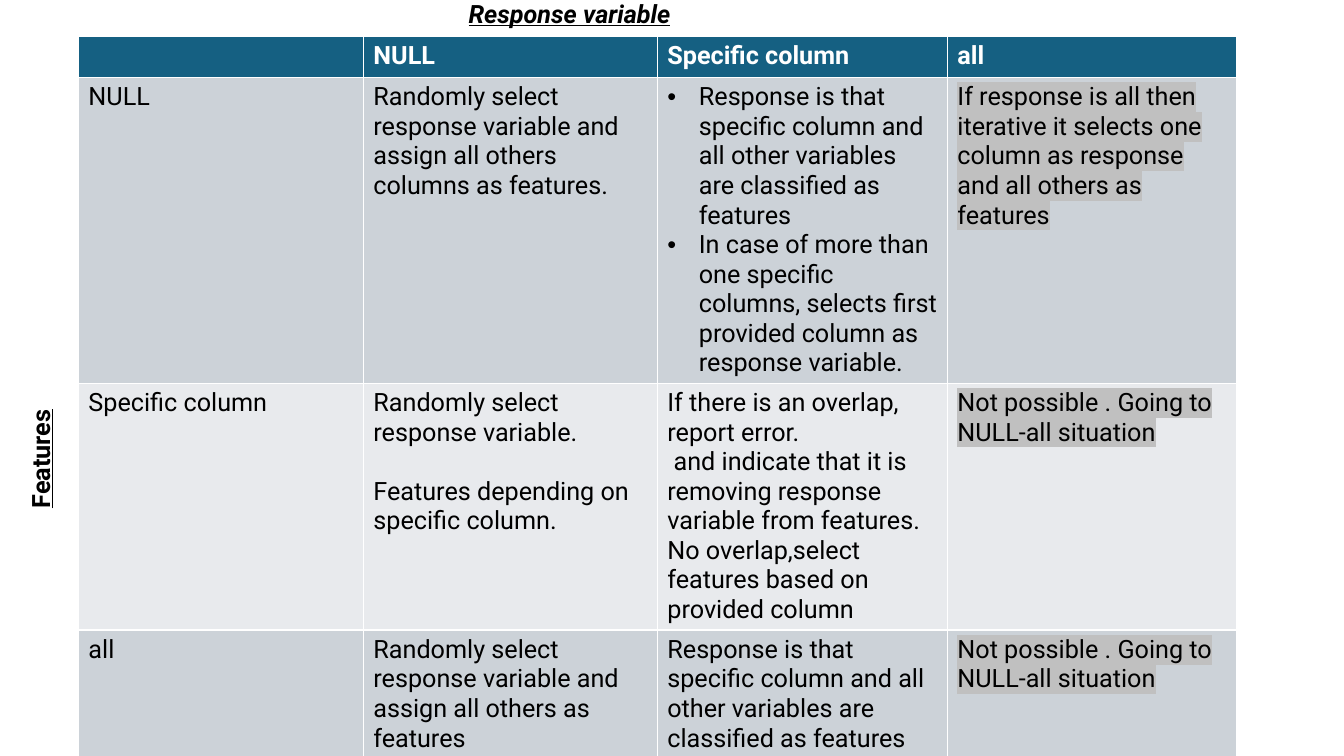
import pptx
import pptx.dml.color
import pptx.enum.text
import pptx.oxml
import pptx.oxml.ns
import pptx.util
from lxml import etree

Pt = pptx.util.Pt
RGBColor = pptx.dml.color.RGBColor

HEADERS = ["", "NULL", "Specific column", "all"]
NOT_POSSIBLE = ["Not possible . Going to NULL-all situation"]
RESPONSE_IS_COLUMN = "Response is that specific column and all other variables are classified as features"
ROWS = [
    [
        ["NULL"],
        ["Randomly select response variable and assign all others columns as features."],
        [
            RESPONSE_IS_COLUMN,
            "In case of more than one specific columns, selects first provided column as response variable.",
        ],
        ["If response is all then iterative it selects one column as response and all others as features"],
    ],
    [
        ["Specific column"],
        ["Randomly select response variable.", "Features depending on specific column."],
        [
            "If there is an overlap, report error.",
            " and indicate that it is removing response variable from features.",
            "No overlap,select features based on provided column",
        ],
        NOT_POSSIBLE,
    ],
    [
        ["all"],
        ["Randomly select response variable and assign all others as features"],
        [RESPONSE_IS_COLUMN],
        NOT_POSSIBLE,
    ],
]
BULLETED_CELL = (1, 2)
SPACED_CELL = (2, 1)
HIGHLIGHTED_COLUMN = 3

AXIS_TITLES = [
    ("Response variable", 327.6, -5, 288, 0, True),
    ("Features", -95, 231.8, 247.7, 270, False),
]

COLUMN_WIDTHS = [203.5, 210, 207.2, 206.8]
ROW_HEIGHTS = [29.3, 217.5, 176.3, 92]
TABLE_LEFT, TABLE_TOP = 56, 26
TITLE_HEIGHT = 29
BULLET_INDENT = 22.5
LINE_HEIGHT = 21.1

FONT = "Roboto"
FONT_SIZE = 18
WHITE = RGBColor(0xFF, 0xFF, 0xFF)
BLACK = RGBColor(0, 0, 0)
HEADER_BLUE = RGBColor(0x15, 0x60, 0x82)
BANDS = [RGBColor(0xCC, 0xD2, 0xD8), RGBColor(0xE8, 0xEA, 0xED)]
HIGHLIGHT = RGBColor(0xC0, 0xC0, 0xC0)

qn = pptx.oxml.ns.qn


def style(paragraph, color, bold):
    font = paragraph.font
    font.name, font.size, font.bold = FONT, Pt(FONT_SIZE), bold
    font.color.rgb = color


def add_bullet(paragraph):
    properties = paragraph._p.get_or_add_pPr()
    properties.set("marL", str(Pt(BULLET_INDENT)))
    properties.set("indent", str(-Pt(BULLET_INDENT)))
    bullet_font = etree.Element(qn("a:buFont"), typeface="Arial")
    bullet = etree.Element(qn("a:buChar"), char="•")
    properties.insert(0, bullet_font)
    bullet_font.addnext(bullet)


def add_highlight(run):
    highlight = etree.SubElement(run._r.get_or_add_rPr(), qn("a:highlight"))
    etree.SubElement(highlight, qn("a:srgbClr"), val=str(HIGHLIGHT))


def fill_cell(cell, lines, position):
    row, column = position
    is_header = row == 0
    cell.fill.solid()
    cell.fill.fore_color.rgb = HEADER_BLUE if is_header else BANDS[(row - 1) % 2]
    cell.text_frame.text = "\n".join(lines)
    for index, paragraph in enumerate(cell.text_frame.paragraphs):
        style(paragraph, WHITE if is_header else BLACK, is_header)
        if position == BULLETED_CELL:
            add_bullet(paragraph)
        if position == SPACED_CELL and index:
            paragraph.space_before = Pt(LINE_HEIGHT)
        if column == HIGHLIGHTED_COLUMN and not is_header:
            for run in paragraph.runs:
                add_highlight(run)


def add_response_table(slide):
    content = [[[header] for header in HEADERS]] + ROWS
    table = slide.shapes.add_table(
        len(content), len(HEADERS), Pt(TABLE_LEFT), Pt(TABLE_TOP),
        Pt(sum(COLUMN_WIDTHS)), Pt(sum(ROW_HEIGHTS)),
    ).table
    for column, width in zip(table.columns, COLUMN_WIDTHS):
        column.width = Pt(width)
    for row_index, (height, row) in enumerate(zip(ROW_HEIGHTS, content)):
        table.rows[row_index].height = Pt(height)
        for column_index, lines in enumerate(row):
            fill_cell(table.cell(row_index, column_index), lines, (row_index, column_index))


def add_axis_title(slide, text, left, top, width, rotation, italic):
    box = slide.shapes.add_textbox(Pt(left), Pt(top), Pt(width), Pt(TITLE_HEIGHT))
    box.rotation = rotation
    box.text_frame.word_wrap = True
    box.text_frame.auto_size = pptx.enum.text.MSO_AUTO_SIZE.SHAPE_TO_FIT_TEXT
    paragraph = box.text_frame.paragraphs[0]
    paragraph.text = text
    style(paragraph, BLACK, True)
    paragraph.font.italic = italic
    paragraph.font.underline = True


def main():
    presentation = pptx.Presentation()
    presentation.slide_width, presentation.slide_height = Pt(960), Pt(540)
    slide = presentation.slides.add_slide(presentation.slide_layouts[6])
    add_response_table(slide)
    for title in AXIS_TITLES:
        add_axis_title(slide, *title)
    presentation.save("out.pptx")


if __name__ == "__main__":
    main()
